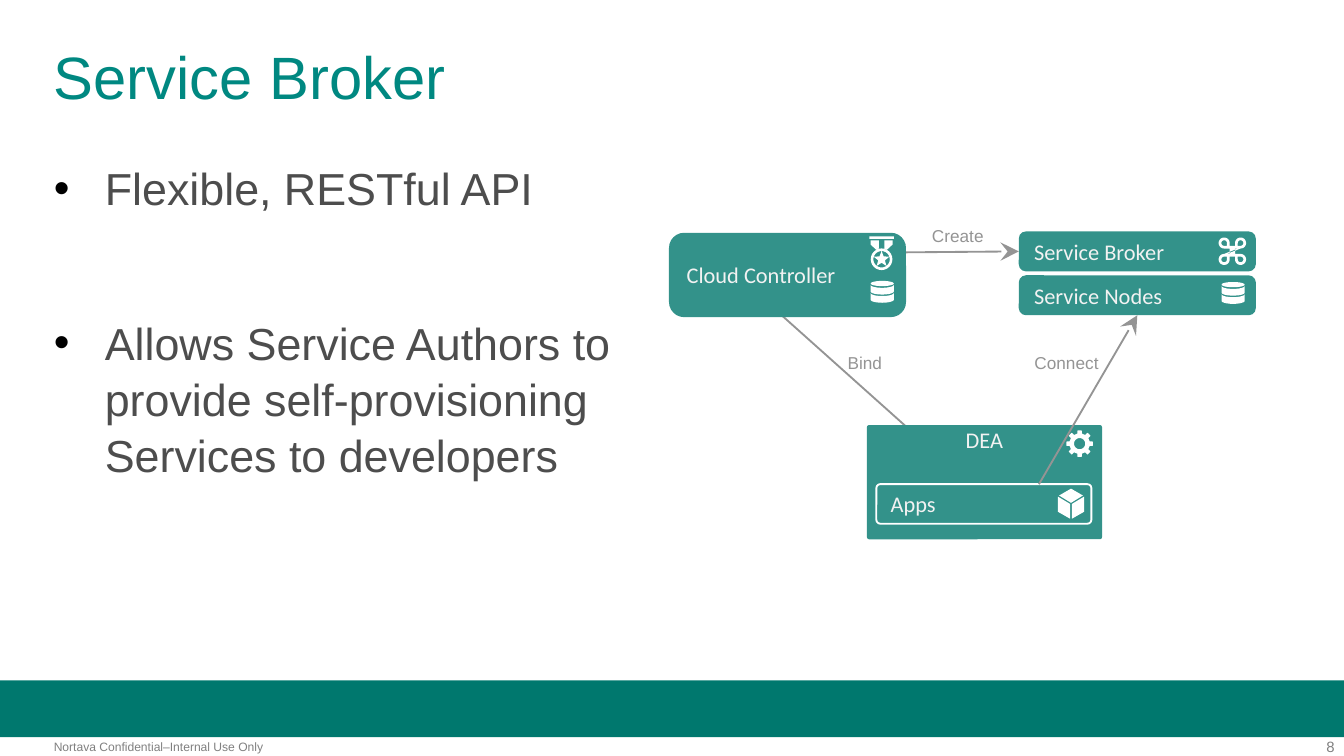
"""Build the Service Broker slide with its provisioning diagram."""
import math

from lxml import etree
from pptx import Presentation
from pptx import util as u
from pptx.dml import color
from pptx.enum import shapes, text
from pptx.oxml import ns

COLORS = {
    "band": "00786E", "title": "008881", "body": "4D4D4D", "bullet": "000000",
    "box": "33928A", "label": "F2F2F2", "white": "FFFFFF", "line": "949494",
    "footer": "808080",
}
BODY = ["Flexible, RESTful API",
        "Allows Service Authors to provide self-provisioning Services to developers"]
BODY_GAPS = [12, 53]
LABELS = [("Create", 491.8, 117.4, 42.5), ("Connect", 546.5, 185, 49.7),
          ("Bind", 446.4, 185, 33.8)]


def rgb(name):
    """Return a named colour."""
    return color.RGBColor.from_string(COLORS[name])


def add_span(para, words, size, tint, font="Arial"):
    """Add one formatted run."""
    span = para.add_run()
    span.text = words
    span.font.size = u.Pt(size)
    span.font.name = font
    span.font.color.rgb = rgb(tint)


def set_frame(frame, side=0, ends=0, anchor=text.MSO_ANCHOR.TOP, wrap=True):
    """Set margins, anchor and wrapping of a text frame."""
    frame.margin_left = frame.margin_right = u.Pt(side)
    frame.margin_top = frame.margin_bottom = u.Pt(ends)
    frame.vertical_anchor = anchor
    frame.word_wrap = wrap


def add_text(page, words, place, size, tint, align=text.PP_ALIGN.LEFT, side=0, ends=0,
             anchor=text.MSO_ANCHOR.TOP, wrap=True):
    """Add a text box holding one paragraph."""
    box = page.shapes.add_textbox(*map(u.Pt, place))
    set_frame(box.text_frame, side, ends, anchor, wrap)
    para = box.text_frame.paragraphs[0]
    para.alignment = align
    add_span(para, words, size, tint)
    return para


def add_bullets(page):
    """Add the bulleted statements."""
    box = page.shapes.add_textbox(*map(u.Pt, (28.8, 85, 303, 266.4)))
    set_frame(box.text_frame)
    for index, (words, gap) in enumerate(zip(BODY, BODY_GAPS)):
        para = box.text_frame.add_paragraph() if index else box.text_frame.paragraphs[0]
        para.space_before = u.Pt(gap)
        para.line_spacing = 1.04
        props = para._p.get_or_add_pPr()
        props.set("marL", str(u.Pt(27.36)))
        props.set("indent", str(u.Pt(-27.36)))
        tint = etree.SubElement(props, ns.qn("a:buClr"))
        etree.SubElement(tint, ns.qn("a:srgbClr"), val=COLORS["bullet"])
        etree.SubElement(props, ns.qn("a:buFont"), typeface="Arial")
        etree.SubElement(props, ns.qn("a:buChar"), char="•")
        add_span(para, words, 24, "body")


def add_box(holder, words, place, corner, fill="box", align=text.PP_ALIGN.LEFT,
            anchor=text.MSO_ANCHOR.MIDDLE):
    """Add a labelled rounded box, outlined in white when it has no fill."""
    box = holder.shapes.add_shape(shapes.MSO_SHAPE.ROUNDED_RECTANGLE, *map(u.Pt, place))
    box.adjustments[0] = corner
    box.shadow.inherit = False
    if fill:
        box.fill.solid()
        box.fill.fore_color.rgb = rgb(fill)
        box.line.fill.background()
    else:
        box.fill.background()
        box.line.color.rgb = rgb("white")
        box.line.width = u.Pt(1)
    set_frame(box.text_frame, 7.2, 0, anchor)
    para = box.text_frame.paragraphs[0]
    para.alignment = align
    add_span(para, words, 12, "label", "Calibri")
    return box


def add_arrow(page, start, end):
    """Add a grey line with a large stealth head at its end."""
    arrow = page.shapes.add_connector(shapes.MSO_CONNECTOR.STRAIGHT, *map(u.Pt, start + end))
    arrow.line.color.rgb = rgb("line")
    arrow.line.width = u.Pt(1)
    etree.SubElement(arrow.line._get_or_add_ln(), ns.qn("a:tailEnd"),
                     type="stealth", w="lg", len="lg")
    etree.SubElement(arrow._element.spPr, ns.qn("a:effectLst"))
    return arrow


def arc(x, y, rx, ry, first=0, last=360, steps=24):
    """Return points along an elliptical arc, angles in degrees."""
    angles = [math.radians(first + (last - first) * i / steps) for i in range(steps + 1)]
    return [(x + rx * math.cos(a), y + ry * math.sin(a)) for a in angles]


def mirror(points):
    """Return points reflected in the vertical axis."""
    return [(-x, y) for x, y in points]


def cube():
    """Return the three faces of a cube."""
    side = [(-7, -3.9), (-0.5, 0), (-0.5, 7.9), (-7, 4.2)]
    return [side, mirror(side), [(0, -8.2), (6.4, -4.5), (0, -0.6), (-6.4, -4.5)]]


def gear():
    """Return an eight-toothed gear with a hole."""
    rim = []
    for tooth in range(8):
        for turn, radius in ((-13, 5.5), (-9, 7.2), (9, 7.2), (13, 5.5)):
            angle = math.radians(45 * tooth + turn)
            rim.append((radius * math.cos(angle), radius * math.sin(angle)))
    return [rim, arc(0, 0, 3, 3)]


def knot():
    """Return a looped square with four corner eyes."""
    rim, eyes = [], []
    loop = arc(4.4, 4.4, 2.96, 2.96, 180, -90) + [(2.9, 1.44)]
    eye = [(2.9, 2.9)] + arc(4.4, 4.4, 1.5, 1.5, 180, -90)
    for _ in range(4):
        rim += [(1.44, 2.9)] if not rim else [loop[-1][::-1]]
        rim += loop
        eyes.append(eye)
        loop, eye = ([(y, -x) for x, y in part] for part in (loop, eye))
    rim = [point for point in rim if abs(point[0]) > 1.4]
    return [rim, [(-1.44, -1.44), (1.44, -1.44), (1.44, 1.44), (-1.44, 1.44)]] + eyes


def disks():
    """Return a stack of three database disks."""
    bands = [arc(0, y, 6.2, 1.6, 180, 0) + arc(0, y + 3.6, 6.2, 1.6, 0, 180)
             for y in (-4, 0.4)]
    return [arc(0, -4.7, 6.2, 1.4)] + bands


def medal():
    """Return a star medal on a ribbon."""
    star = [(r * math.sin(i * math.pi / 5), 3.3 - r * math.cos(i * math.pi / 5))
            for i, r in enumerate([4.4, 1.9] * 5)]
    ribbon = [(-5.9, -6.8), (-1.5, -6.8), (-1.5, -2.5), (-3, -1.9), (-5.9, -4.6)]
    bar = [(-6.6, -9), (6.6, -9), (6.6, -7.6), (-6.6, -7.6)]
    return [bar, ribbon, mirror(ribbon), arc(0, 3.3, 5.8, 5.8), arc(0, 3.3, 4.4, 4.4), star]


def add_icon(holder, contours, x, y):
    """Draw contours in white around a centre point."""
    outlines = [[((x + dx) * 100, (y + dy) * 100) for dx, dy in part] for part in contours]
    builder = holder.shapes.build_freeform(*outlines[0][0], scale=u.Pt(1) / 100)
    for index, outline in enumerate(outlines):
        if index:
            builder.move_to(*outline[0])
        builder.add_line_segments(outline[1:], close=True)
    icon = builder.convert_to_shape()
    icon.shadow.inherit = False
    icon.fill.solid()
    icon.fill.fore_color.rgb = rgb("white")
    icon.line.fill.background()


def add_diagram(page):
    """Add the boxes, icons, arrows and arrow labels."""
    add_arrow(page, (418.3, 168.5), (521.3, 260.6))
    agent, services, controller = (page.shapes.add_group_shape() for _ in range(3))
    add_box(agent, "DEA", (464.4, 227.7, 126, 61.2), 0.02,
            align=text.PP_ALIGN.CENTER, anchor=text.MSO_ANCHOR.TOP)
    add_box(agent, "Apps", (469.5, 259.4, 115.2, 21.2), 0.1, fill=None)
    add_icon(agent, cube(), 573.8, 270)
    add_icon(agent, gear(), 578.4, 237.7)
    broker, nodes = (add_box(services, words, (545.8, top, 127, 21.4), 0.18)
                     for words, top in (("Service Broker", 124), ("Service Nodes", 147.5)))
    add_icon(services, knot(), 660.2, 134.6)
    add_icon(services, disks(), 660.6, 157.2)
    add_box(controller, "Cloud Controller", (358.4, 124.7, 127, 45.2), 0.18)
    add_icon(controller, medal(), 472.3, 135.6)
    add_icon(controller, disks(), 472.6, 156.6)
    add_arrow(page, (485.4, 135.2), (545.8, 134.7)).end_connect(broker, 1)
    add_arrow(page, (556.6, 259.4), (609.3, 168.9)).end_connect(nodes, 2)
    for words, left, top, width in LABELS:
        add_text(page, words, (left, top, width, 19.4), 9.2, "line",
                 text.PP_ALIGN.CENTER, 7.2, 3.6, wrap=False)


def add_footer(page):
    """Add the colour band, notice and page number."""
    band = page.shapes.add_shape(shapes.MSO_SHAPE.RECTANGLE, *map(u.Pt, (0, 364.5, 720, 30.5)))
    band.shadow.inherit = False
    band.fill.solid()
    band.fill.fore_color.rgb = rgb("band")
    band.line.fill.background()
    add_text(page, "8", (673.2, 395.3, 41.8, 9.4), 8, "footer", text.PP_ALIGN.RIGHT)
    add_text(page, "Nortava Confidential–Internal Use Only", (28.8, 396, 179.3, 7.9), 6.5, "footer")


def main():
    """Build and save the deck."""
    deck = Presentation()
    deck.slide_width, deck.slide_height = u.Pt(720), u.Pt(405)
    page = deck.slides.add_slide(deck.slide_layouts[6])
    add_footer(page)
    title = add_text(page, "Service Broker", (28.8, 25.9, 662.4, 36), 32, "title")
    title.line_spacing = 0.9
    add_bullets(page)
    add_diagram(page)
    deck.save("out.pptx")


if __name__ == "__main__":
    main()
